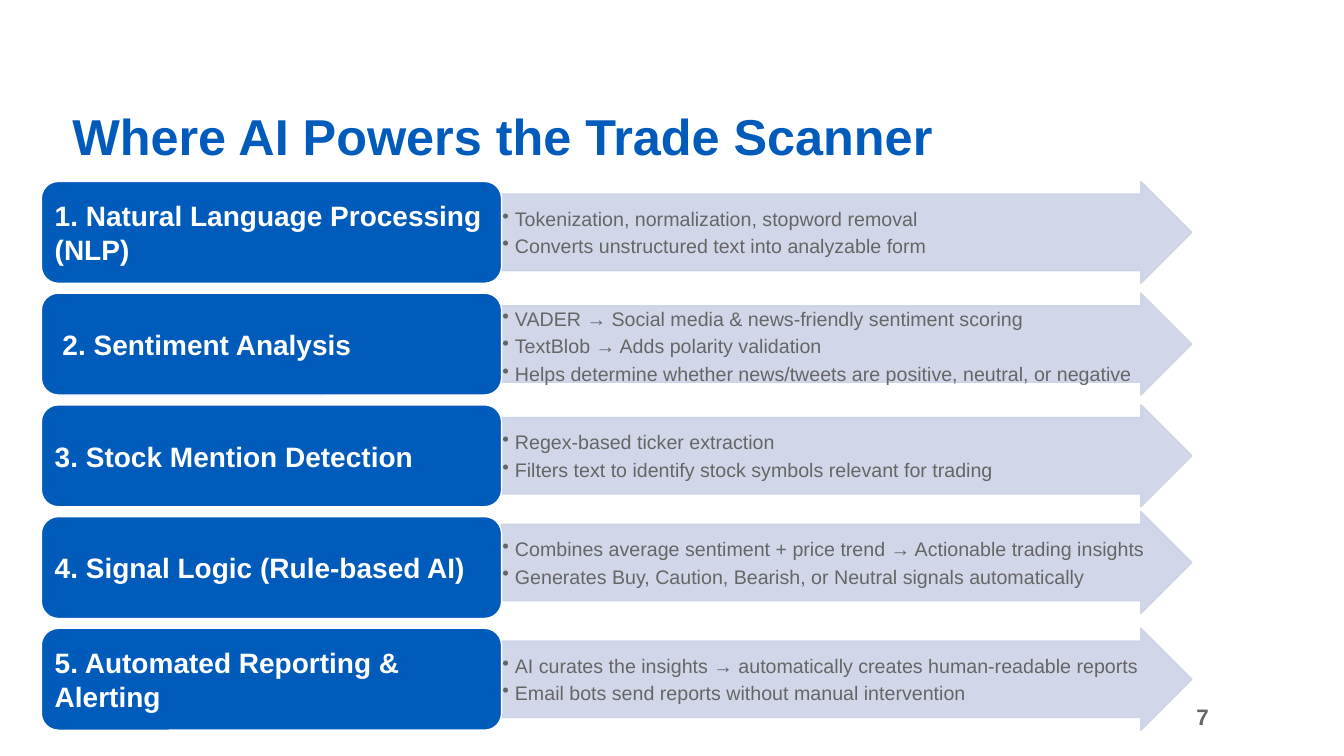
from lxml import etree
from pptx import Presentation
from pptx.dml.color import RGBColor
from pptx.enum.shapes import MSO_SHAPE
from pptx.enum.text import MSO_ANCHOR, PP_ALIGN
from pptx.oxml.ns import qn
from pptx.util import Pt

ARROW, ROUNDED = MSO_SHAPE.RIGHT_ARROW, MSO_SHAPE.ROUNDED_RECTANGLE
TOP, MIDDLE, BOTTOM = MSO_ANCHOR.TOP, MSO_ANCHOR.MIDDLE, MSO_ANCHOR.BOTTOM
LEFT, RIGHT = PP_ALIGN.LEFT, PP_ALIGN.RIGHT

TITLE = "Where AI Powers the Trade Scanner"
PAGE_NUMBER = "7"
STAGES = [
    {"heading": "1. Natural Language Processing (NLP)",
     "details": ["Tokenization, normalization, stopword removal",
                 "Converts unstructured text into analyzable form"]},
    {"heading": "2. Sentiment Analysis", "indent": 5.56, "anchor": TOP,
     "details": ["VADER → Social media & news-friendly sentiment scoring",
                 "TextBlob → Adds polarity validation",
                 "Helps determine whether news/tweets are positive, neutral, or negative"]},
    {"heading": "3. Stock Mention Detection",
     "details": ["Regex-based ticker extraction",
                 "Filters text to identify stock symbols relevant for trading"]},
    {"heading": "4. Signal Logic (Rule-based AI)", "arrow_shift": -3.6,
     "details": ["Combines average sentiment + price trend → Actionable trading insights",
                 "Generates Buy, Caution, Bearish, or Neutral signals automatically"]},
    {"heading": "5. Automated Reporting & Alerting",
     "details": ["AI curates the insights → automatically creates human-readable reports",
                 "Email bots send reports without manual intervention"]},
]
COLORS = {"blue": "005BBB", "arrow": "CCD2E7", "grey": "666666", "white": "FFFFFF"}
FONT = "Arial"
FIRST_TOP, PITCH, ROW_HEIGHT = 129.6, 79.8, 72.8
CARD_LEFT, CARD_WIDTH = 29.5, 328.8
ARROW_LEFT, ARROW_WIDTH = 358.1, 493.2
DETAIL_WIDTH, DETAIL_HEIGHT = 465.9, 54.6
CARD_PAD = 3.55
BULLET_INDENT, BULLET_GAP = 9, 2.75


def color(name):
    return RGBColor.from_string(COLORS[name])


def add_panel(slide, preset, box, fill, line, opacity=None):
    panel = slide.shapes.add_shape(preset, *map(Pt, box))
    panel.shadow.inherit = False
    panel.fill.solid()
    panel.fill.fore_color.rgb = color(fill)
    panel.line.color.rgb = color(line)
    panel.line.width = Pt(1)
    if opacity:
        for tint in panel.element.spPr.iter(qn("a:srgbClr")):
            etree.SubElement(tint, qn("a:alpha"), val=str(opacity * 1000))
    return panel


def add_text(slide, box, lines, size, ink, bold=False, anchor=MIDDLE,
             align=LEFT, insets=(7.2, 3.6), indent=0, bulleted=False):
    frame = slide.shapes.add_textbox(*map(Pt, box)).text_frame
    frame.word_wrap = True
    frame.vertical_anchor = anchor
    side, edge = insets
    frame.margin_left, frame.margin_right = Pt(side + indent), Pt(side)
    frame.margin_top = frame.margin_bottom = Pt(edge)
    for number, line in enumerate(lines):
        paragraph = frame.add_paragraph() if number else frame.paragraphs[0]
        paragraph.text = line
        paragraph.alignment = align
        if number:
            paragraph.space_before = Pt(BULLET_GAP)
        if bulleted:
            properties = paragraph._p.get_or_add_pPr()
            properties.set("marL", str(Pt(BULLET_INDENT)))
            properties.set("indent", str(-Pt(BULLET_INDENT)))
            etree.SubElement(properties, qn("a:buChar"), char="•")
        paragraph.font.name = FONT
        paragraph.font.size = Pt(size)
        paragraph.font.bold = bold
        paragraph.font.color.rgb = color(ink)
    return frame


def add_stage(slide, stage, top):
    arrow_top = top + stage.get("arrow_shift", 0)
    arrow = add_panel(slide, ARROW, (ARROW_LEFT, arrow_top, ARROW_WIDTH, ROW_HEIGHT),
                      "arrow", "arrow", opacity=90)
    arrow.adjustments[0], arrow.adjustments[1] = 0.75, 0.5
    detail_top = arrow_top + (ROW_HEIGHT - DETAIL_HEIGHT) / 2
    add_text(slide, (ARROW_LEFT, detail_top, DETAIL_WIDTH, DETAIL_HEIGHT),
             stage["details"], 14, "grey", anchor=stage.get("anchor", MIDDLE),
             insets=(0.7, 0.7), bulleted=True)
    add_panel(slide, ROUNDED, (CARD_LEFT, top, CARD_WIDTH, ROW_HEIGHT), "blue", "white")
    heading_box = (CARD_LEFT + CARD_PAD, top + CARD_PAD,
                   CARD_WIDTH - 2 * CARD_PAD, ROW_HEIGHT - 2 * CARD_PAD)
    add_text(slide, heading_box, [stage["heading"]], 20, "white", bold=True,
             insets=(6, 3), indent=stage.get("indent", 0))


def main():
    deck = Presentation()
    deck.slide_width, deck.slide_height = Pt(960), Pt(540)
    slide = deck.slides.add_slide(deck.slide_layouts[6])
    add_text(slide, (546.5, 497.5, 324, 28.8), [PAGE_NUMBER], 16, "grey",
             bold=True, align=RIGHT)
    title = add_text(slide, (44.6, 76.3, 719.3, 46.1), [TITLE], 36, "blue",
                     bold=True, anchor=BOTTOM)
    title.paragraphs[0].line_spacing = 0.9
    for row, stage in enumerate(STAGES):
        add_stage(slide, stage, FIRST_TOP + row * PITCH)
    deck.save("out.pptx")


if __name__ == "__main__":
    main()
